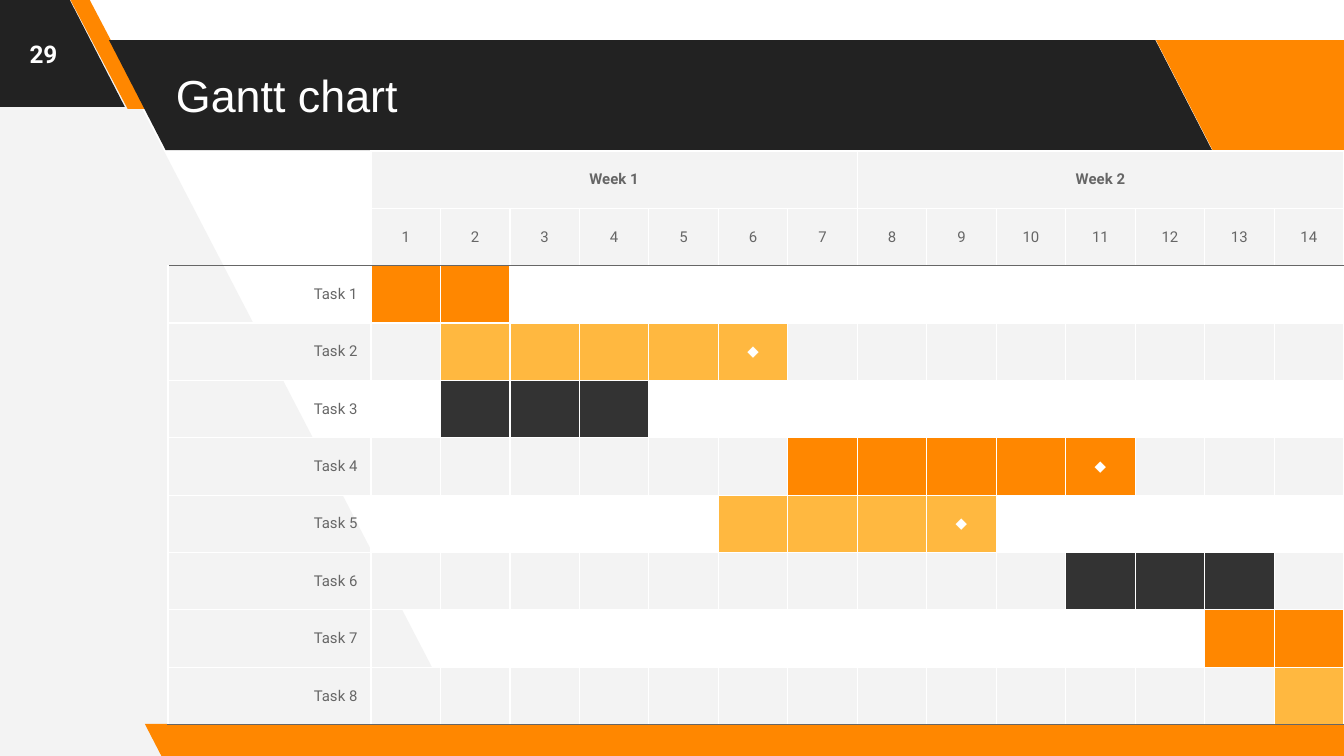
from lxml.etree import SubElement
from pptx import Presentation
from pptx.dml.color import RGBColor
from pptx.enum.shapes import MSO_SHAPE
from pptx.enum.text import MSO_ANCHOR, PP_ALIGN
from pptx.oxml.ns import qn
from pptx.util import Pt

SCALE = 914400 / 134.4
WHITE, LIGHT, GREY = "FFFFFF", "F3F3F3", "666666"
DARK, BLACK, ORANGE, AMBER = "333333", "222222", "FF8700", "FFB840"
DAYS = 14
TASKS = [
    (1, 2, ORANGE, False),
    (2, 6, AMBER, True),
    (2, 4, DARK, False),
    (7, 11, ORANGE, True),
    (6, 9, AMBER, True),
    (11, 13, DARK, False),
    (13, 14, ORANGE, False),
    (14, 14, AMBER, False),
]


def px(n):
    return round(n * SCALE)


def paint(fill, color):
    fill.solid()
    fill.fore_color.rgb = RGBColor.from_string(color)


def style_text(tf, size, font, color, align, bold=False):
    p = tf.paragraphs[0]
    p.alignment = align
    for r in p.runs:
        r.font.size = Pt(size)
        r.font.name = font
        r.font.bold = bold
        r.font.color.rgb = RGBColor.from_string(color)


def finish_shape(s, color):
    paint(s.fill, color)
    s.line.fill.background()
    s.shadow.inherit = False


def add_slant(slide, x, y, w, h, color, adj=0.515):
    s = slide.shapes.add_shape(MSO_SHAPE.PARALLELOGRAM, px(x), px(y), px(w), px(h))
    s.adjustments[0] = adj
    s._element.spPr.find(qn("a:xfrm")).set("flipH", "1")
    finish_shape(s, color)


def add_text(slide, x, y, w, h, text, size, font, align, bold=False):
    tf = slide.shapes.add_textbox(px(x), px(y), px(w), px(h)).text_frame
    tf.word_wrap = True
    tf.vertical_anchor = MSO_ANCHOR.MIDDLE
    tf.margin_left = tf.margin_right = tf.margin_top = tf.margin_bottom = px(13)
    tf.text = text
    style_text(tf, size, font, WHITE, align, bold)


def add_side_panel(slide, x, y, w, h):
    fb = slide.shapes.build_freeform(x + w, y + h - 5, scale=SCALE)
    fb.add_line_segments([(x + 91, y), (x, y), (x + 5, y + h)])
    finish_shape(fb.convert_to_shape(), LIGHT)


def add_page_number(slide, x, y, w, h, number):
    add_slant(slide, x - 133, y - 3, w + 171, h + 2, BLACK)
    add_slant(slide, x + 70, y - 1, 77, h + 2, ORANGE, 0.75)
    add_text(slide, x, y, w, h, number, 13, "Roboto", PP_ALIGN.CENTER, True)


def add_title_band(slide, x, y, w, h, title):
    add_slant(slide, x, y, w, h, BLACK)
    add_slant(slide, x + w - 56, y, 258, h, ORANGE)
    add_text(slide, x + 54, y, w - 115, h, title, 24, "Arial", PP_ALIGN.LEFT)


def set_borders(cell, left=WHITE, right=WHITE, top=WHITE, bottom=WHITE):
    tc_pr = cell._tc.get_or_add_tcPr()
    for side, color in zip("LRTB", (left, right, top, bottom)):
        ln = SubElement(tc_pr, qn(f"a:ln{side}"), w=str(Pt(0.75)))
        if color:
            fill = SubElement(ln, qn("a:solidFill"))
            SubElement(fill, qn("a:srgbClr"), val=color)
        else:
            SubElement(ln, qn("a:noFill"))


def fill_cell(cell, text, fill, color=GREY, align=PP_ALIGN.CENTER, bold=False):
    cell.vertical_anchor = MSO_ANCHOR.MIDDLE
    if fill:
        paint(cell.fill, fill)
    else:
        cell.fill.background()
    if text:
        cell.text = text
        style_text(cell.text_frame, 8, "Roboto", color, align, bold)


def add_gantt(slide, x, y, w, h, label_w):
    rows = len(TASKS) + 2
    frame = slide.shapes.add_table(rows, DAYS + 1, px(x), px(y), px(w), px(h))
    table = frame.table
    table.first_row = table.horz_banding = False
    for row in table.rows:
        row.height = px(h / rows)
    for i, col in enumerate(table.columns):
        col.width = px((w - label_w) / DAYS if i else label_w)

    for i in range(rows):
        for j in range(DAYS + 1):
            corner = i < 2 and j == 0
            set_borders(
                table.cell(i, j),
                left=None if corner else WHITE,
                top=None if corner else GREY if i == 2 else WHITE,
                bottom=GREY if i in (1, rows - 1) else None if corner else WHITE,
            )

    for i in range(2):
        fill_cell(table.cell(i, 0), "", None)
    for week in (1, 2):
        first = week * 7 - 6
        table.cell(0, first).merge(table.cell(0, first + 6))
        fill_cell(table.cell(0, first), f"Week {week}", LIGHT, bold=True)
    for day in range(1, DAYS + 1):
        fill_cell(table.cell(1, day), str(day), LIGHT)

    for n, (start, end, color, milestone) in enumerate(TASKS, 1):
        band = None if n % 2 else LIGHT
        fill_cell(table.cell(n + 1, 0), f"Task {n}", band, align=PP_ALIGN.RIGHT)
        for day in range(1, DAYS + 1):
            mark = "◆" if milestone and day == end else ""
            fill = color if start <= day <= end else band
            fill_cell(table.cell(n + 1, day), mark, fill, WHITE)


def main():
    prs = Presentation()
    prs.slide_width, prs.slide_height = px(1344), px(756)
    slide = prs.slides.add_slide(prs.slide_layouts[6])
    add_side_panel(slide, -8, -5, 486, 766)
    add_page_number(slide, 0, 0, 87, 108, "29")
    add_title_band(slide, 109, 40, 1103, 110, "Gantt chart")
    add_slant(slide, 145, 724, 1230, 34, ORANGE)
    add_gantt(slide, 168, 151, 1176, 574, 203)
    prs.save("out.pptx")


if __name__ == "__main__":
    main()
